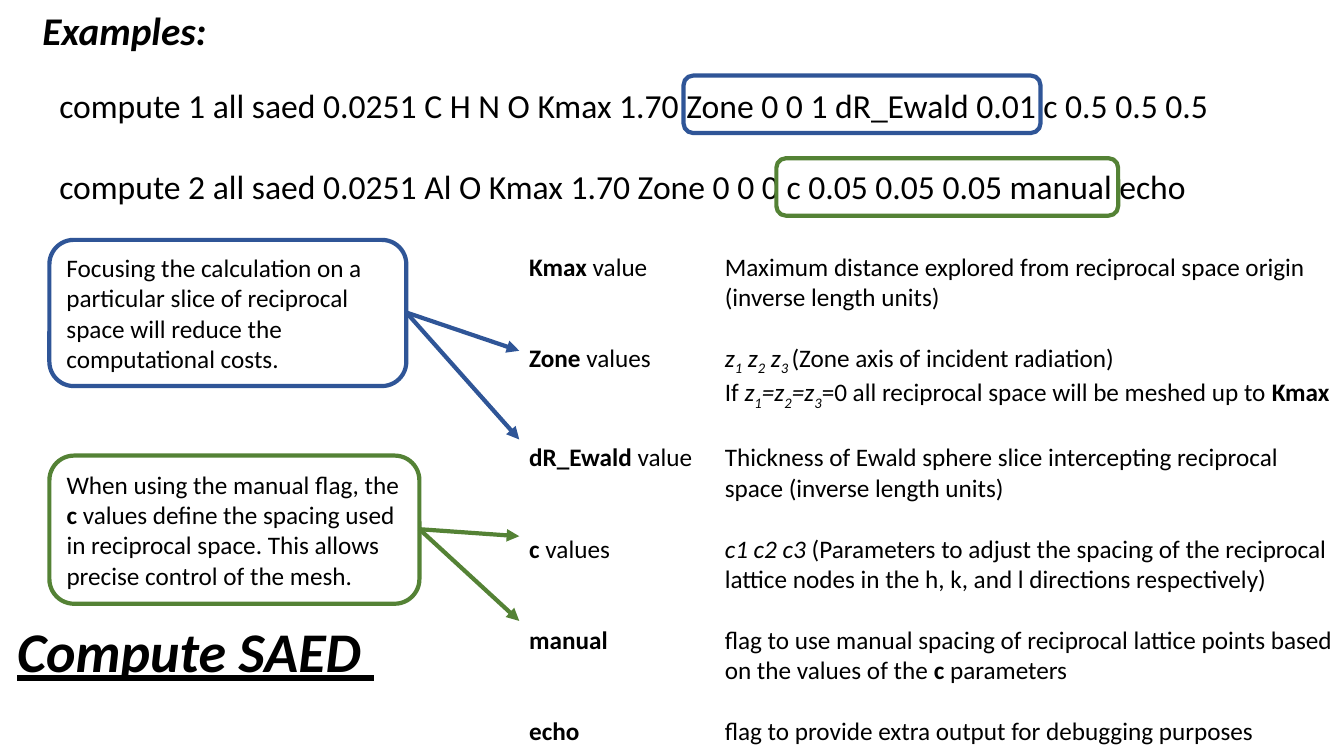
from dataclasses import dataclass

from lxml.etree import SubElement
from pptx import Presentation
from pptx.dml.color import RGBColor
from pptx.enum.shapes import MSO_CONNECTOR, MSO_SHAPE
from pptx.enum.text import MSO_ANCHOR, MSO_AUTO_SIZE, PP_ALIGN
from pptx.oxml.ns import qn
from pptx.util import Pt

EMU_PER_PX = 9144  # 100 px to the inch


@dataclass(frozen=True)
class Theme:
    font: str = "Calibri"
    ink: RGBColor = RGBColor(0x00, 0x00, 0x00)
    blue: RGBColor = RGBColor(0x2F, 0x55, 0x97)
    green: RGBColor = RGBColor(0x54, 0x82, 0x35)
    title: int = 40
    heading: int = 28
    command: int = 24
    text: int = 18
    command_gap: int = 29
    entry_gap: int = 22
    line: int = 3


THEME = Theme()

# A run is (text, flags): b bold, i italic, u underlined, s subscript.
COMMANDS = [
    "compute 1 all saed 0.0251 C H N O Kmax 1.70 Zone 0 0 1 dR_Ewald 0.01 c 0.5 0.5 0.5",
    "compute 2 all saed 0.0251 Al O Kmax 1.70 Zone 0 0 0 c 0.05 0.05 0.05 manual echo",
]

# Each entry is a list of lines, each line a list of runs.
PARAMETERS = [
    [[("Kmax", "b"), (" value\tMaximum distance explored from reciprocal space origin "
                      "(inverse length units)", "")]],
    [
        [("Zone", "b"), (" values\t", ""), ("z", "i"), ("1", "is"), (" z", "i"), ("2", "is"),
         (" z", "i"), ("3 ", "is"), ("(Zone axis of incident radiation)", "")],
        [("\tIf ", ""), ("z", "i"), ("1", "is"), ("=z", "i"), ("2", "is"), ("=z", "i"),
         ("3", "is"), ("=0 all reciprocal space will be meshed up to ", ""), ("Kmax", "b")],
    ],
    [[("dR_Ewald", "b"), (" value\tThickness of Ewald sphere slice intercepting reciprocal "
                          "space (inverse length units)", "")]],
    [[("c", "b"), (" values\t", ""), ("c1 c2 c3 ", "i"),
      ("(Parameters to adjust the spacing of the reciprocal lattice nodes "
       "in the h, k, and l directions respectively)", "")]],
    [[("manual\t", "b"), ("flag to use manual spacing of reciprocal lattice points "
                          "based on the values of the ", ""), ("c", "b"), (" parameters", "")]],
    [[("echo\t", "b"), ("flag to provide extra output for debugging purposes", "")]],
]

MANUAL_NOTE = [
    ("When using the manual flag, the ", ""), ("c", "b"),
    (" values define the spacing used in reciprocal space. "
     "This allows precise control of the mesh.", ""),
]
ZONE_NOTE = [("Focusing the calculation on a particular slice of reciprocal space "
              "will reduce the computational costs.", "")]


def px(*lengths):
    return [length * EMU_PER_PX for length in lengths]


def add_runs(paragraph, runs, size):
    paragraph.alignment = PP_ALIGN.LEFT
    for text, flags in runs:
        run = paragraph.add_run()
        run.text = text
        font = run.font
        font.name, font.size = THEME.font, Pt(size)
        font.color.rgb = THEME.ink
        font.bold, font.italic, font.underline = "b" in flags, "i" in flags, "u" in flags
        if "s" in flags:
            run._r.get_or_add_rPr().set("baseline", "-25000")


def set_indent(paragraph, left, first_line):
    properties = paragraph._p.get_or_add_pPr()
    properties.set("marL", str(left * EMU_PER_PX))
    properties.set("indent", str(first_line * EMU_PER_PX))
    return properties


def fill_placeholder(placeholder, box, runs, size):
    """Move a placeholder and give it one line without a bullet."""
    placeholder.left, placeholder.top, placeholder.width, placeholder.height = px(*box)
    frame = placeholder.text_frame
    frame.auto_size = MSO_AUTO_SIZE.NONE
    frame.vertical_anchor = MSO_ANCHOR.TOP
    paragraph = frame.paragraphs[0]
    SubElement(set_indent(paragraph, 0, 0), qn("a:buNone"))
    paragraph.line_spacing = 0.9
    paragraph.space_before = Pt(0)
    add_runs(paragraph, runs, size)


def add_paragraphs(shapes, box, lines, size):
    """Add a text box; each line is (runs, gap before, hanging indent)."""
    frame = shapes.add_textbox(*px(*box)).text_frame
    frame.word_wrap = True
    for index, (runs, gap, hanging) in enumerate(lines):
        paragraph = frame.add_paragraph() if index else frame.paragraphs[0]
        set_indent(paragraph, hanging, -hanging)
        if index:
            paragraph.space_before = Pt(gap)
        add_runs(paragraph, runs, size)


def add_commands(shapes):
    lines = [([(command, "")], THEME.command_gap, 0) for command in COMMANDS]
    add_paragraphs(shapes, (49, 79, 1213, 131), lines, THEME.command)


def add_parameters(shapes):
    lines = [
        (runs, 0 if position else THEME.entry_gap, 194)
        for entry in PARAMETERS
        for position, runs in enumerate(entry)
    ]
    add_paragraphs(shapes, (515, 244, 818, 506), lines, THEME.text)


def add_outline(shapes, box, colour):
    outline = shapes.add_shape(MSO_SHAPE.ROUNDED_RECTANGLE, *px(*box))
    outline.shadow.inherit = False
    outline.fill.background()
    outline.line.color.rgb = colour
    outline.line.width = Pt(THEME.line)
    return outline


def add_arrow(shapes, start, end, colour):
    arrow = shapes.add_connector(MSO_CONNECTOR.STRAIGHT, *px(*start, *end))
    arrow.line.color.rgb = colour
    arrow.line.width = Pt(THEME.line)
    SubElement(arrow.line._get_or_add_ln(), qn("a:tailEnd"), type="triangle")
    SubElement(arrow._element.spPr, qn("a:effectLst"))


def add_annotation(slide, colour, highlight, callout, note, targets):
    """Frame part of a command and point from its note to the parameters."""
    shapes = slide.shapes.add_group_shape().shapes
    add_outline(shapes, highlight, colour)
    frame = add_outline(shapes, callout, colour).text_frame
    frame.word_wrap = True
    frame.vertical_anchor = MSO_ANCHOR.MIDDLE
    add_runs(frame.paragraphs[0], note, THEME.text)
    left, top, width, height = callout
    for target in targets:
        add_arrow(shapes, (left + width, top + height // 2), target, colour)


def main():
    presentation = Presentation()
    presentation.slide_width, presentation.slide_height = px(1333, 750)
    slide = presentation.slides.add_slide(presentation.slide_layouts[1])
    title, body = slide.placeholders
    fill_placeholder(title, (7, 614, 560, 122), [("Compute SAED ", "biu")], THEME.title)
    fill_placeholder(body, (32, 7, 1205, 639), [("Examples:", "bi")], THEME.heading)
    add_parameters(slide.shapes)
    add_commands(slide.shapes)
    add_annotation(slide, THEME.green, (770, 157, 339, 57), (49, 452, 367, 147),
                   MANUAL_NOTE, [(515, 616), (515, 532)])
    add_annotation(slide, THEME.blue, (678, 75, 354, 57), (49, 238, 354, 145),
                   ZONE_NOTE, [(515, 348), (515, 436)])
    presentation.save("out.pptx")


if __name__ == "__main__":
    main()
